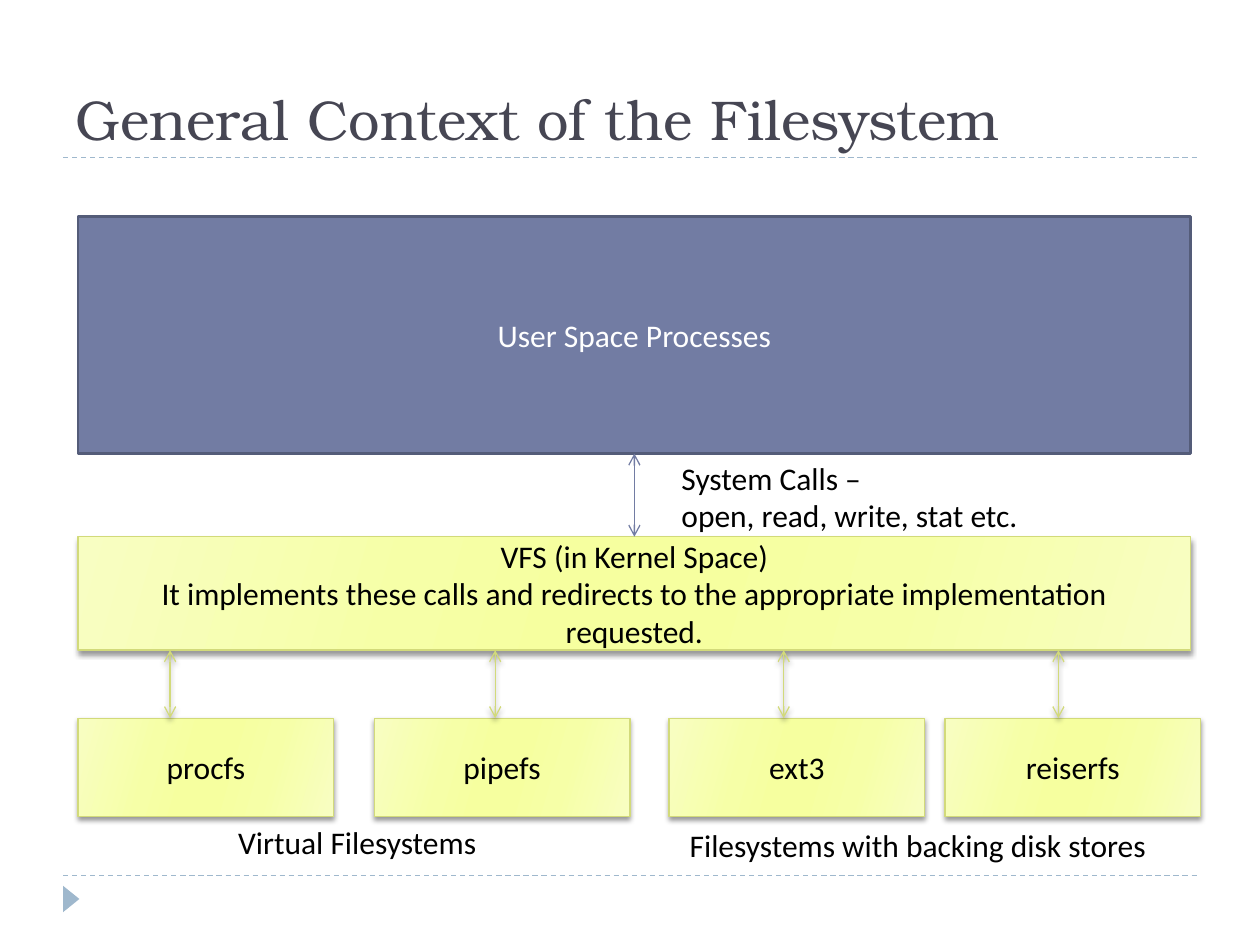
from pptx import Presentation
from pptx import util as u
from pptx.dml.color import RGBColor
from pptx.enum import dml, shapes, text
from pptx.oxml import parse_xml
from pptx.oxml.ns import nsdecls, qn

INK = RGBColor(0x46, 0x46, 0x53)
BLACK = RGBColor(0, 0, 0)
WHITE = RGBColor(0xFF, 0xFF, 0xFF)
BLUE = RGBColor(0x72, 0x7C, 0xA3)
DARK_BLUE = RGBColor(0x54, 0x5C, 0x79)
PALE_BLUE = RGBColor(0x9F, 0xB8, 0xCD)
LIME = RGBColor(0xD2, 0xDA, 0x7A)
LIME_STOPS = [(0, "F8FEC2"), (30, "F6FFA7"), (45, "F6FF9F"),
              (55, "F6FF9F"), (73, "F6FFA7"), (100, "F8FEC2")]

TITLE = "General Context of the Filesystem"
USER_SPACE = "User Space Processes"
VFS = ("VFS (in Kernel Space)\n"
       "It implements these calls and redirects to the appropriate implementation requested.")
# name, box left, arrow x
FILESYSTEMS = [("procfs", 0.62, 1.35), ("pipefs", 2.97, 3.93),
               ("ext3", 5.31, 6.22), ("reiserfs", 7.5, 8.4)]
# text, box, alignment
LABELS = [
    ("System Calls –\nopen, read, write, stat etc.", (5.31, 3.59, 3.48, 0.71), text.PP_ALIGN.LEFT),
    ("Virtual Filesystems", (1.35, 6.48, 2.97, 0.4), text.PP_ALIGN.CENTER),
    ("Filesystems with backing disk stores", (5.04, 6.51, 4.49, 0.4), text.PP_ALIGN.CENTER),
]
LEFT, WIDTH = 0.62, 8.83
USER_TOP, USER_H = 1.72, 1.88
VFS_TOP, VFS_H = 4.26, 0.9
FS_TOP, FS_W, FS_H = 5.7, 2.03, 0.78
RULES_Y = [6.95, 1.25]


def inches(values):
    return [u.Inches(v) for v in values]


def write(sp, content, color=BLACK, align=text.PP_ALIGN.CENTER,
          anchor=text.MSO_ANCHOR.MIDDLE, font="Calibri", size=18):
    tf = sp.text_frame
    tf.word_wrap = True
    tf.vertical_anchor = anchor
    tf.text = content
    for p in tf.paragraphs:
        p.alignment = align
        for r in p.runs:
            r.font.name, r.font.size = font, u.Pt(size)
            r.font.color.rgb = color


def set_effects(sp, shadow):
    """Replace the theme shadow by a soft one below, or by none."""
    drop = ('<a:outerShdw blurRad="38100" dist="25400" dir="5400000" rotWithShape="0">'
            '<a:srgbClr val="000000"><a:alpha val="40000"/></a:srgbClr></a:outerShdw>')
    sp._element.spPr.append(parse_xml(
        f'<a:effectLst {nsdecls("a")}>{drop if shadow else ""}</a:effectLst>'))


def add_box(s, box, line, weight, content, color):
    sp = s.shapes.add_shape(shapes.MSO_SHAPE.RECTANGLE, *inches(box))
    sp.line.color.rgb = line
    sp.line.width = u.Pt(weight)
    write(sp, content, color)
    return sp


def add_lime_box(s, box, content):
    sp = add_box(s, box, LIME, 0.75, content, BLACK)
    stops = "".join(f'<a:gs pos="{pos * 1000}"><a:srgbClr val="{rgb}"/></a:gs>'
                    for pos, rgb in LIME_STOPS)
    sp._element.spPr.find(qn("a:prstGeom")).addnext(parse_xml(
        f'<a:gradFill {nsdecls("a")} rotWithShape="1"><a:gsLst>{stops}</a:gsLst>'
        '<a:lin ang="960000" scaled="0"/></a:gradFill>'))
    set_effects(sp, shadow=True)


def add_line(s, ends, color, shadow=False, arrows=False):
    c = s.shapes.add_connector(shapes.MSO_CONNECTOR.STRAIGHT, *inches(ends))
    c.line.color.rgb = color
    c.line.width = u.Pt(0.75)
    if arrows:
        ln = c.line._get_or_add_ln()
        for tag in ("headEnd", "tailEnd"):
            ln.append(parse_xml(f'<a:{tag} {nsdecls("a")} type="arrow"/>'))
    else:
        c.line.dash_style = dml.MSO_LINE.DASH
    set_effects(c, shadow)


def main():
    prs = Presentation()
    prs.slide_width, prs.slide_height = inches((10, 7.5))
    s = prs.slides.add_slide(prs.slide_layouts[6])

    for y in RULES_Y:
        add_line(s, (0.5, y, 9.5, y), PALE_BLUE)
    marker = s.shapes.add_shape(shapes.MSO_SHAPE.ISOSCELES_TRIANGLE,
                                *inches((0.46, 7.07, 0.21, 0.13)))
    marker.rotation = 90
    marker.fill.solid()
    marker.fill.fore_color.rgb = PALE_BLUE
    marker.line.fill.background()
    marker.shadow.inherit = False

    title = s.shapes.add_textbox(*inches((0.5, 0.17, 9, 1.08)))
    write(title, TITLE, INK, text.PP_ALIGN.LEFT, text.MSO_ANCHOR.BOTTOM,
          "TeX Gyre Bonum", 32)

    user = add_box(s, (LEFT, USER_TOP, WIDTH, USER_H), DARK_BLUE, 1.5, USER_SPACE, WHITE)
    user.fill.solid()
    user.fill.fore_color.rgb = BLUE
    user.shadow.inherit = False

    for name, left, _ in FILESYSTEMS:
        add_lime_box(s, (left, FS_TOP, FS_W, FS_H), name)
    add_lime_box(s, (LEFT, VFS_TOP, WIDTH, VFS_H), VFS)

    center = LEFT + WIDTH / 2
    add_line(s, (center, USER_TOP + USER_H, center, VFS_TOP), BLUE, arrows=True)
    for _, _, x in FILESYSTEMS:
        add_line(s, (x, VFS_TOP + VFS_H, x, FS_TOP), LIME, shadow=True, arrows=True)

    for content, box, align in LABELS:
        label = s.shapes.add_textbox(*inches(box))
        write(label, content, align=align, anchor=text.MSO_ANCHOR.TOP)

    prs.save("out.pptx")


if __name__ == "__main__":
    main()
